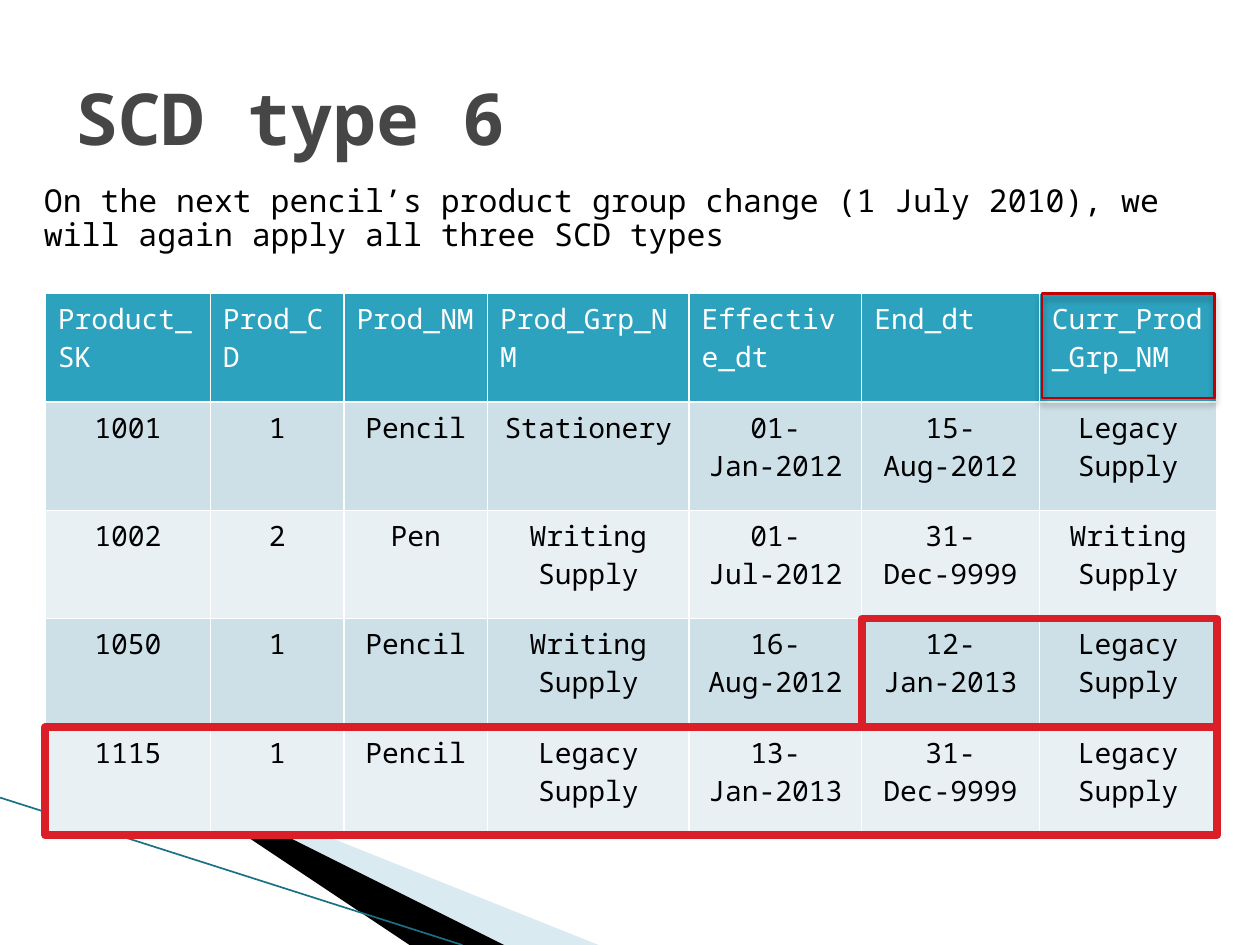
from lxml import etree
from pptx import Presentation
from pptx import util as u
from pptx.dml.color import RGBColor
from pptx.enum import shapes, text
from pptx.oxml import parse_xml
from pptx.oxml.ns import nsdecls, qn

FONT = "Noto Sans Mono"
WHITE = RGBColor(255, 255, 255)
BLACK = RGBColor(0, 0, 0)
GREY = RGBColor(0x46, 0x46, 0x46)
TEAL = RGBColor(0x2D, 0xA2, 0xBF)
DEEP = RGBColor(0x1C, 0x70, 0x86)
MIST = RGBColor(0xD9, 0xEA, 0xF1)
BANDS = RGBColor(0xCD, 0xE0, 0xE8), RGBColor(0xE8, 0xF0, 0xF4)
RED = RGBColor(0xDA, 0x1F, 0x28)
DARK = RGBColor(0xC0, 0, 0)

TITLE = "SCD type 6"
INTRO = ("On the next pencil’s product group change (1 July 2010), "
         "we will again apply all three SCD types")
ROWS = [
    ("Product_SK", "Prod_CD", "Prod_NM", "Prod_Grp_NM",
     "Effective_dt", "End_dt", "Curr_Prod_Grp_NM"),
    ("1001", "1", "Pencil", "Stationery",
     "01-Jan-2012", "15-Aug-2012", "Legacy Supply"),
    ("1002", "2", "Pen", "Writing Supply",
     "01-Jul-2012", "31-Dec-9999", "Writing Supply"),
    ("1050", "1", "Pencil", "Writing Supply",
     "16-Aug-2012", "12-Jan-2013", "Legacy Supply"),
    ("1115", "1", "Pencil", "Legacy Supply",
     "13-Jan-2013", "31-Dec-9999", "Legacy Supply"),
]
COLS = [1.31, 1.06, 1.14, 1.6, 1.37, 1.41, 1.41]
LEFT, TOP, HIGH = 0.36, 2.33, 0.86
WEDGES = [
    (MIST, [(0.55, 6.5), (5.9, 7.5), (4.56, 7.5)]),
    (BLACK, [(0.53, 6.49), (4.53, 7.5), (3.67, 7.5)]),
]
# row, first column, last column, colour, line width, inset
MARKS = [(4, 0, 6, RED, 4.33, 0), (3, 5, 6, RED, 4.33, 0),
         (0, 6, 6, DARK, 1.5, 0.02)]


def add_run(para, words, size, color, bold=False):
    run = para.add_run()
    run.text = words
    font = run.font
    font.name, font.size, font.bold = FONT, u.Pt(size), bold
    font.color.rgb = color


def edge(cell):
    """Draw a thin white line on all four sides of a cell."""
    props = cell._tc.get_or_add_tcPr()
    for n, side in enumerate(("lnL", "lnR", "lnT", "lnB")):
        props.insert(n, parse_xml(
            f'<a:{side} {nsdecls("a")} w="12700"><a:solidFill>'
            f'<a:srgbClr val="{WHITE}"/></a:solidFill></a:{side}>'))


def add_wedge(slide, color, points):
    build = slide.shapes.build_freeform(*points[0], scale=u.Inches(1))
    build.add_line_segments(points[1:])
    wedge = build.convert_to_shape()
    wedge.shadow.inherit = False
    wedge.fill.solid()
    wedge.fill.fore_color.rgb = color
    wedge.line.fill.background()


def add_stripe(slide):
    line = slide.shapes.add_connector(
        shapes.MSO_CONNECTOR.STRAIGHT,
        0, u.Inches(6.33), u.Inches(3.67), u.Inches(7.5))
    line.line.color.rgb = DEEP
    line.line.width = u.Pt(0.95)
    etree.SubElement(line._element.spPr, qn("a:effectLst"))


def add_grid(slide):
    grid = slide.shapes.add_table(
        len(ROWS), len(COLS), u.Inches(LEFT), u.Inches(TOP),
        u.Inches(sum(COLS)), u.Inches(HIGH * len(ROWS))).table
    for col, width in zip(grid.columns, COLS):
        col.width = u.Inches(width)
    for r, row in enumerate(ROWS):
        for c, words in enumerate(row):
            cell = grid.cell(r, c)
            cell.fill.solid()
            cell.fill.fore_color.rgb = BANDS[(r - 1) % 2] if r else TEAL
            edge(cell)
            para = cell.text_frame.paragraphs[0]
            para.alignment = text.PP_ALIGN.CENTER if r else text.PP_ALIGN.LEFT
            add_run(para, words, 16, BLACK if r else WHITE)


def add_mark(slide, row, first, last, color, width, inset):
    """Frame a span of cells; an inset frame also casts a soft shadow."""
    x = LEFT + sum(COLS[:first])
    wide = sum(COLS[first:last + 1])
    mark = slide.shapes.add_shape(
        shapes.MSO_SHAPE.RECTANGLE,
        u.Inches(x + inset), u.Inches(TOP + row * HIGH),
        u.Inches(wide - 2 * inset), u.Inches(HIGH - 1.5 * inset))
    mark.shadow.inherit = False
    mark.fill.background()
    mark.line.color.rgb = color
    mark.line.width = u.Pt(width)
    if inset:
        mark._element.spPr.find(qn("a:effectLst")).append(parse_xml(
            f'<a:outerShdw {nsdecls("a")} blurRad="50800" dist="38100" '
            'dir="5400000" rotWithShape="0"><a:srgbClr val="000000">'
            '<a:alpha val="35000"/></a:srgbClr></a:outerShdw>'))


def main():
    deck = Presentation()
    deck.slide_width, deck.slide_height = u.Inches(10), u.Inches(7.5)
    slide = deck.slides.add_slide(deck.slide_layouts[5])

    for color, points in WEDGES:
        add_wedge(slide, color, points)
    add_stripe(slide)

    title = slide.shapes.title
    title.left, title.top = u.Inches(0.5), u.Inches(0.3)
    title.width, title.height = u.Inches(9), u.Inches(1.25)
    title.text_frame.vertical_anchor = text.MSO_ANCHOR.MIDDLE
    para = title.text_frame.paragraphs[0]
    para.alignment = text.PP_ALIGN.LEFT
    add_run(para, TITLE, 41, GREY, True)

    add_grid(slide)
    for mark in MARKS:
        add_mark(slide, *mark)

    intro = slide.shapes.add_textbox(
        u.Inches(0.25), u.Inches(1.42), u.Inches(9.05), u.Inches(0.71))
    intro.text_frame.word_wrap = True
    para = intro.text_frame.paragraphs[0]
    para.line_spacing = 0.9
    add_run(para, INTRO, 18, BLACK)

    deck.save("out.pptx")


if __name__ == "__main__":
    main()
